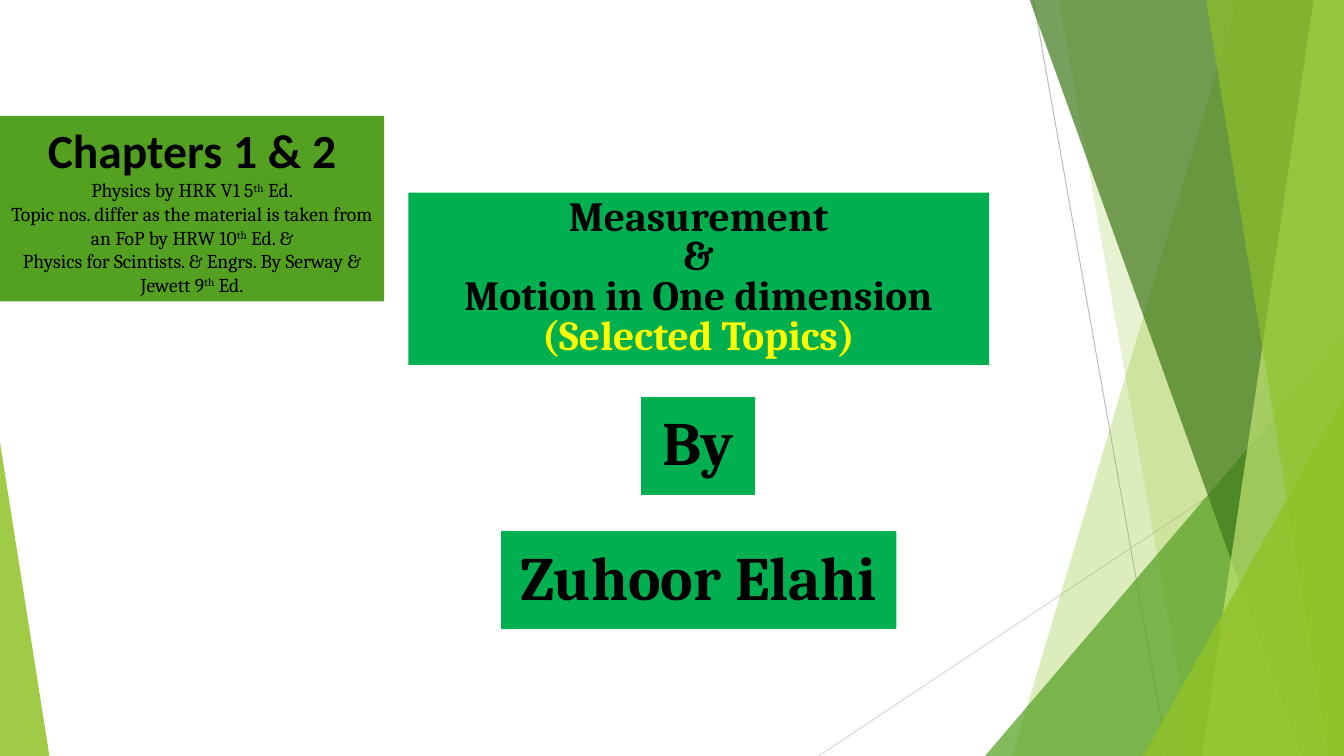
"""Builds the title slide of a physics lecture on measurement and motion."""
from lxml import etree
from pptx import Presentation, util as u
from pptx.dml.color import RGBColor
from pptx.enum import shapes, text
from pptx.oxml.ns import qn

COLUMNS, ROWS = 13.33, 7.5
BLEED = -0.01
BLACK = RGBColor(0x00, 0x00, 0x00)
YELLOW = RGBColor(0xFF, 0xFF, 0x00)
LIME = RGBColor(0x90, 0xC2, 0x26)
PALE_LIME = RGBColor(0xC0, 0xE4, 0x74)
LEAF = RGBColor(0x54, 0xA0, 0x21)
FOREST = RGBColor(0x3F, 0x78, 0x19)
EMERALD = RGBColor(0x00, 0xB0, 0x50)
GREY = RGBColor(0xBF, 0xBF, 0xBF)
LIGHT_GREY = RGBColor(0xD9, 0xD9, 0xD9)


def paint(shape, color, opacity=100):
    """Gives a shape a flat fill without outline or shadow."""
    shape.shadow.inherit = False
    shape.line.fill.background()
    shape.fill.solid()
    shape.fill.fore_color.rgb = color
    if opacity < 100:
        tint = shape._element.spPr.find(qn("a:solidFill"))[0]
        etree.SubElement(tint, qn("a:alpha")).set("val", str(opacity * 1000))


def add_span(para, words, size, color=BLACK, font="Cambria", bold=True):
    """Appends one styled run to a paragraph and returns it."""
    span = para.add_run()
    span.text = words
    span.font.size = u.Pt(size)
    span.font.name = font
    span.font.bold = bold
    span.font.color.rgb = color
    return span


deck = Presentation()
deck.slide_width, deck.slide_height = u.Inches(COLUMNS), u.Inches(ROWS)
page = deck.slides.add_slide(deck.slide_layouts[6])

for x1, y1, x2, color in [(10.25, 0, 11.58, GREY), (COLUMNS, 4.03, 8.12, LIGHT_GREY)]:
    ray = page.shapes.add_connector(
        shapes.MSO_CONNECTOR.STRAIGHT, *map(u.Inches, (x1, y1, x2, ROWS)))
    ray.line.color.rgb = color
    ray.line.width = u.Pt(0.75)
    etree.SubElement(ray._element.spPr, qn("a:effectLst"))

bands = [
    ("beam", 12.28, 10.04, LIME, 30),
    ("beam", 10.5, 11.83, LIME, 20),
    ("corner", (9.77, 3.33, 3.56), 1, LEAF, 72),
    ("beam", 10.21, 12.91, FOREST, 70),
    ("beam", 13.03, 11.92, PALE_LIME, 70),
    ("beam", 11.96, 13.18, LIME, 65),
    ("corner", (11.34, 3.93, 1.99), 1, LIME, 80),
    ("corner", (0, 4.39, 0.49), 0, LIME, 85),
]
for kind, start, end, color, opacity in bands:
    if kind == "beam":
        outline = page.shapes.build_freeform(u.Inches(start), u.Inches(BLEED))
        corners = [(COLUMNS, BLEED), (COLUMNS, ROWS), (end, ROWS)]
        outline.add_line_segments([(u.Inches(x), u.Inches(y)) for x, y in corners])
        band = outline.convert_to_shape()
    else:
        left, top, width = start
        band = page.shapes.add_shape(
            shapes.MSO_SHAPE.ISOSCELES_TRIANGLE,
            *map(u.Inches, (left, top, width, ROWS - top)))
        band.adjustments[0] = end
    paint(band, color, opacity)

source_lines = [
    ["Physics by HRK V1 5", "th", " Ed."],
    ["Topic nos. differ as the material is taken from an FoP by HRW 10", "th", " Ed. &"],
    ["Physics for Scintists. & Engrs. By Serway & Jewett 9", "th", " Ed."],
]
chapters = page.shapes.add_shape(
    shapes.MSO_SHAPE.RECTANGLE, *map(u.Inches, (0, 1.15, 3.81, 1.84)))
paint(chapters, LEAF)
chapters.text_frame.word_wrap = True
chapters.text_frame.vertical_anchor = text.MSO_ANCHOR.MIDDLE
para = chapters.text_frame.paragraphs[0]
para.alignment = text.PP_ALIGN.CENTER
add_span(para, "Chapters 1 & 2", 34, font="Calibri")
for line in source_lines:
    para.add_line_break()
    for words in line:
        span = add_span(para, words, 14, bold=False)
        if words == "th":
            span.font._element.set("baseline", "30000")

panels = [
    ((4.97, 5.27, 3.92, 0.97), 44, 0.9, [("Zuhoor Elahi", BLACK)]),
    ((6.36, 3.94, 1.13, 0.97), 44, 0.9, [("By", BLACK)]),
    ((4.05, 1.91, 5.76, 1.71), 29.6, 0.8, [
        ("Measurement", BLACK), ("&", BLACK),
        ("Motion in One dimension", BLACK), ("(Selected Topics)", YELLOW)]),
]
for place, size, spacing, lines in panels:
    box = page.shapes.add_shape(shapes.MSO_SHAPE.RECTANGLE, *map(u.Inches, place))
    paint(box, EMERALD)
    frame = box.text_frame
    frame.word_wrap = True
    frame.vertical_anchor = text.MSO_ANCHOR.MIDDLE
    for number, (words, color) in enumerate(lines):
        para = frame.add_paragraph() if number else frame.paragraphs[0]
        para.alignment = text.PP_ALIGN.CENTER
        para.line_spacing = spacing
        add_span(para, words, size, color)

deck.save("out.pptx")
